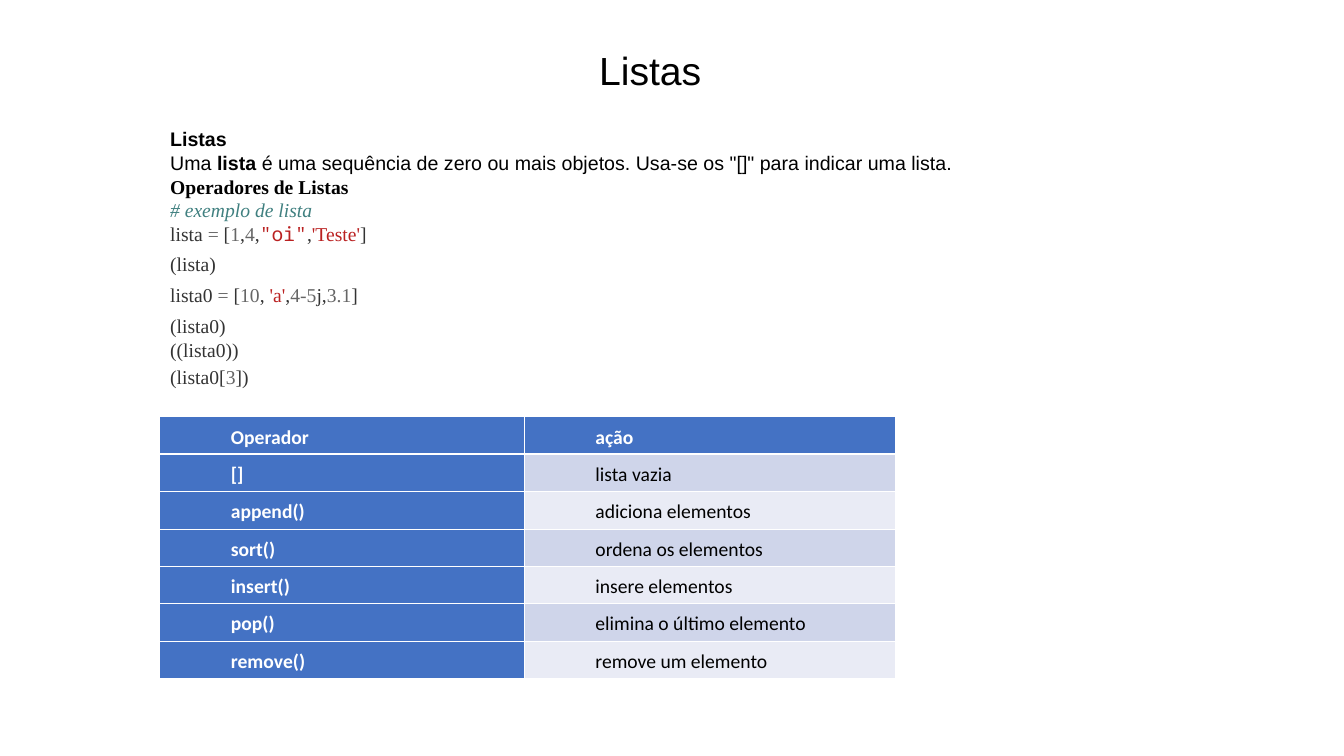
from dataclasses import dataclass

from lxml import etree
from pptx import Presentation
from pptx.dml.color import RGBColor
from pptx.enum.text import MSO_ANCHOR, MSO_AUTO_SIZE, PP_ALIGN
from pptx.oxml.ns import qn
from pptx.slide import Slide
from pptx.table import _Cell
from pptx.util import Cm, Pt

MIDDLE = MSO_ANCHOR.MIDDLE
GROW = MSO_AUTO_SIZE.SHAPE_TO_FIT_TEXT
CENTER = PP_ALIGN.CENTER

BLACK = RGBColor(0x00, 0x00, 0x00)
WHITE = RGBColor(0xFF, 0xFF, 0xFF)
TEAL = RGBColor(0x40, 0x80, 0x80)
CODE = RGBColor(0x33, 0x33, 0x33)
GRAY = RGBColor(0x66, 0x66, 0x66)
RED = RGBColor(0xBA, 0x21, 0x21)
BLUE = RGBColor(0x44, 0x72, 0xC4)
BAND_DARK = RGBColor(0xCF, 0xD5, 0xEA)
BAND_LIGHT = RGBColor(0xE9, 0xEB, 0xF5)

SANS, SERIF, MONO, TABLE_FONT = "Arial", "Times New Roman", "Noto Sans Mono", "Calibri"
BODY_SIZE = Pt(14)
THIN, THICK = Pt(0.45), Pt(1.47)


@dataclass(frozen=True)
class Piece:
    text: str
    color: RGBColor | None = None
    bold: bool | None = None
    font: str | None = None


@dataclass(frozen=True)
class Line:
    pieces: tuple[Piece, ...]
    font: str = SERIF
    color: RGBColor = CODE
    bold: bool | None = None
    italic: bool | None = None
    space_before: float = 0


LINES = (
    Line((Piece("Listas"),), SANS, BLACK, bold=True),
    Line((Piece("Uma "), Piece("lista", bold=True),
          Piece(' é uma sequência de zero ou mais objetos. Usa-se os "[]" para indicar uma lista.')),
         SANS, BLACK),
    Line((Piece("Operadores de Listas"),), color=BLACK, bold=True),
    Line((Piece("# exemplo de lista"),), color=TEAL, italic=True),
    Line((Piece("lista "), Piece("=", GRAY), Piece(" ["), Piece("1", GRAY), Piece(","),
          Piece("4", GRAY), Piece(","), Piece('"oi"', RED, font=MONO), Piece(","),
          Piece("'Teste'", RED), Piece("]"))),
    Line((Piece("(lista)"),), space_before=5.2),
    Line((Piece("lista0 "), Piece("=", GRAY), Piece(" ["), Piece("10", GRAY), Piece(", "),
          Piece("'a'", RED), Piece(","), Piece("4-5", GRAY), Piece("j,"),
          Piece("3.1", GRAY), Piece("]")), space_before=5.2),
    Line((Piece("(lista0)"),), space_before=5.2),
    Line((Piece("((lista0))"),)),
    Line((Piece("(lista0["), Piece("3", GRAY), Piece("])")), space_before=3),
)

OPERATORS = (
    ("Operador", "ação"),
    ("[]", "lista vazia"),
    ("append()", "adiciona elementos"),
    ("sort()", "ordena os elementos"),
    ("insert()", "insere elementos"),
    ("pop()", "elimina o último elemento"),
    ("remove()", "remove um elemento"),
)
COLUMN_WIDTHS = (Cm(9.19), Cm(9.37))
ROW_HEIGHT = Cm(0.89)


def add_title(slide: Slide) -> None:
    frame = slide.shapes.add_textbox(Cm(12.29), Cm(0.86), Cm(8.2), Cm(1.63)).text_frame
    frame.word_wrap = True
    frame.auto_size = GROW
    paragraph = frame.paragraphs[0]
    paragraph.text = "Listas"
    paragraph.alignment = CENTER
    paragraph.line_spacing = 1.15
    paragraph.space_after = Pt(10)
    paragraph.font.name = SANS
    paragraph.font.size = Pt(28)
    paragraph.font.color.rgb = BLACK


def add_body(slide: Slide) -> None:
    frame = slide.shapes.add_textbox(Cm(4.04), Cm(2.84), Cm(20.24), Cm(7.09)).text_frame
    frame.word_wrap = False
    frame.auto_size = GROW
    frame.vertical_anchor = MIDDLE
    frame.margin_top = Cm(0.36)
    for index, line in enumerate(LINES):
        paragraph = frame.add_paragraph() if index else frame.paragraphs[0]
        if line.space_before:
            paragraph.space_before = Pt(line.space_before)
        paragraph.font.name = line.font
        paragraph.font.size = BODY_SIZE
        paragraph.font.color.rgb = line.color
        paragraph.font.bold = line.bold
        paragraph.font.italic = line.italic
        for piece in line.pieces:
            run = paragraph.add_run()
            run.text = piece.text
            if piece.color is not None:
                run.font.color.rgb = piece.color
            if piece.bold is not None:
                run.font.bold = piece.bold
            if piece.font is not None:
                run.font.name = piece.font


def set_borders(cell: _Cell, top: int, bottom: int) -> None:
    properties = cell._tc.get_or_add_tcPr()
    for tag, width in (("a:lnL", THIN), ("a:lnR", THIN), ("a:lnT", top), ("a:lnB", bottom)):
        border = etree.SubElement(properties, qn(tag), w=str(int(width)))
        fill = etree.SubElement(border, qn("a:solidFill"))
        etree.SubElement(fill, qn("a:srgbClr"), val=str(WHITE))


def fill_cell(cell: _Cell, text: str, row: int, column: int) -> None:
    is_heading = row == 0 or column == 0
    set_borders(cell, THICK if row == 1 else THIN, THICK if row == 0 else THIN)
    cell.fill.solid()
    cell.fill.fore_color.rgb = BLUE if is_heading else BAND_DARK if row % 2 else BAND_LIGHT
    cell.vertical_anchor = MIDDLE
    cell.margin_left = cell.margin_right = Cm(0.1)
    cell.margin_top = cell.margin_bottom = Cm(0.13)
    paragraph = cell.text_frame.paragraphs[0]
    paragraph.text = text
    paragraph.line_spacing = 1.15
    paragraph._p.get_or_add_pPr().set("marL", str(int(Cm(1.7))))
    paragraph.font.name = TABLE_FONT
    paragraph.font.size = BODY_SIZE
    paragraph.font.bold = is_heading
    paragraph.font.color.rgb = WHITE if is_heading else BLACK


def add_operator_table(slide: Slide) -> None:
    table = slide.shapes.add_table(
        len(OPERATORS), len(COLUMN_WIDTHS), Cm(4.02), Cm(10.5),
        sum(COLUMN_WIDTHS), ROW_HEIGHT * len(OPERATORS)).table
    for column, width in zip(table.columns, COLUMN_WIDTHS):
        column.width = width
    for row, texts in enumerate(OPERATORS):
        for column, text in enumerate(texts):
            fill_cell(table.cell(row, column), text, row, column)


def main() -> None:
    presentation = Presentation()
    presentation.slide_width = Cm(33.88)
    presentation.slide_height = Cm(19.05)
    slide = presentation.slides.add_slide(presentation.slide_layouts[6])
    add_body(slide)
    add_operator_table(slide)
    add_title(slide)
    presentation.save("out.pptx")


if __name__ == "__main__":
    main()
